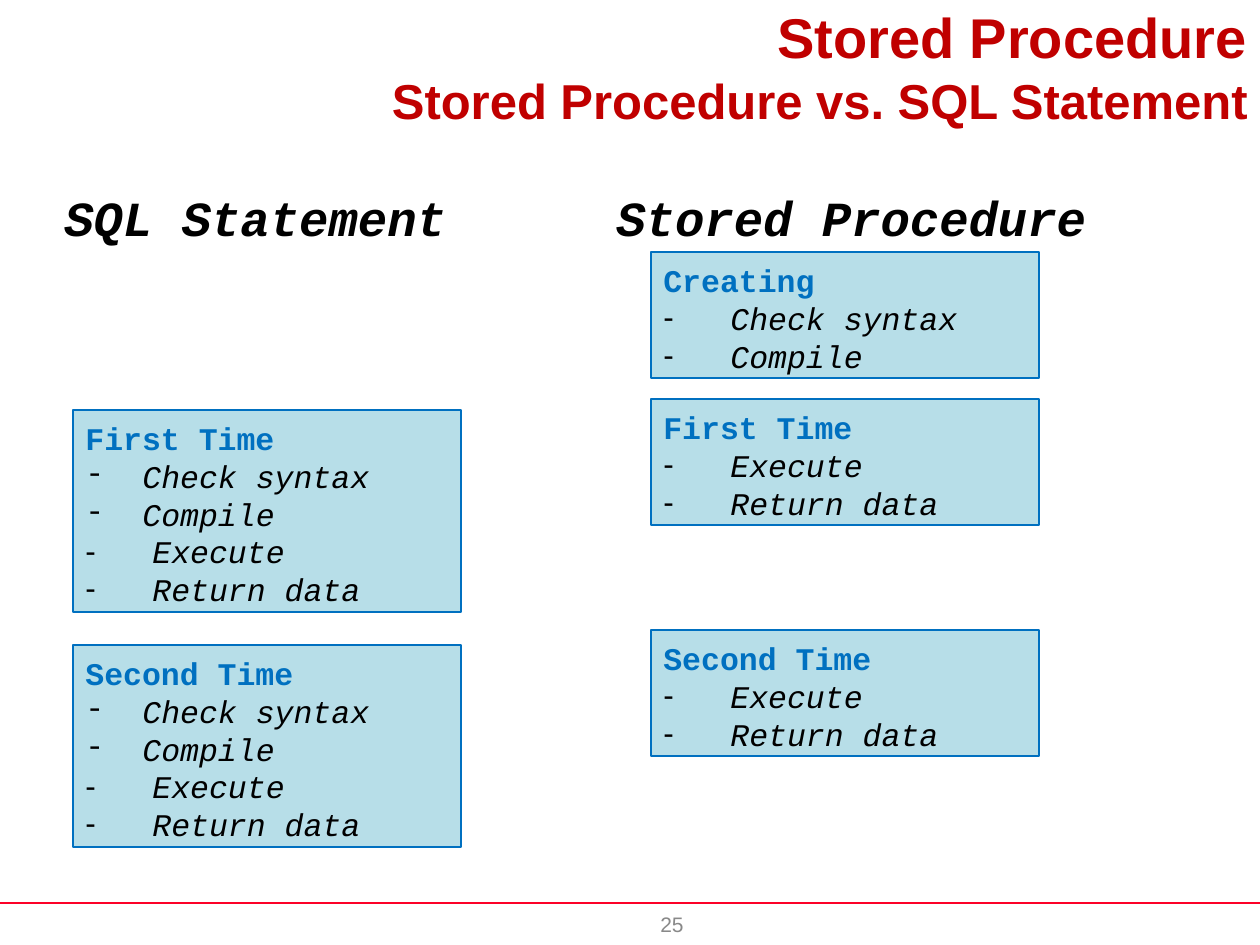
from pptx import Presentation
from pptx.util import Emu, Pt
from pptx.dml.color import RGBColor
from pptx.enum.shapes import MSO_CONNECTOR, MSO_SHAPE
from pptx.enum.text import MSO_ANCHOR, PP_ALIGN
from pptx.oxml.ns import qn
from lxml import etree

LEFT, MID, RIGHT = PP_ALIGN.LEFT, PP_ALIGN.CENTER, PP_ALIGN.RIGHT
TOP, CENTER = MSO_ANCHOR.TOP, MSO_ANCHOR.MIDDLE
RECT, LINE = MSO_SHAPE.RECTANGLE, MSO_CONNECTOR.STRAIGHT
SCALE = 914400 / 126
SANS, MONO = "Arial", "Courier New"
BLUE, PALE, RED = "0070C0", "B7DEE8", "C00000"

HEAD = dict(name=MONO, size=28, color="000000", bold=True, italic=True)
NAME = dict(name=MONO, size=18, color=BLUE, bold=True)
STEP = dict(name=MONO, size=18, color="000000", italic=True)
MAIN = dict(name=SANS, size=32, color=RED, bold=True)
SUB = MAIN | dict(size=28)
PAGE = dict(name=SANS, size=12, color="898989")

CHECK, RUN = ["Check syntax", "Compile"], ["Execute", "Return data"]
DASH = {"Check syntax": (57, MONO), "Compile": (57, MONO)}
WIDE = (67, SANS)
LABELS = [
    ((53, 3, 1207, 126), [("Stored Procedure", MAIN),
                          ("Stored Procedure vs. SQL Statement", SUB)], RIGHT, CENTER),
    ((52, 179, 407, 72), [("SQL Statement", HEAD)], LEFT, TOP),
    ((604, 179, 495, 72), [("Stored Procedure", HEAD)], LEFT, TOP),
    ((525, 903, 294, 42), [("25", PAGE)], MID, CENTER),
]
CARDS = [
    (73, 410, "First Time", CHECK + RUN, DASH),
    (73, 645, "Second Time", CHECK + RUN, DASH),
    (651, 252, "Creating", CHECK, {}),
    (651, 399, "First Time", RUN, {}),
    (651, 630, "Second Time", RUN, {}),
]


def px(n):
    return Emu(round(n * SCALE))


def rgb(code):
    return RGBColor.from_string(code)


def style(para, form):
    for key, val in form.items():
        if key == "color":
            para.font.color.rgb = rgb(val)
        else:
            setattr(para.font, key, Pt(val) if key == "size" else val)
    para.line_spacing = Pt(form["size"] * 1.2)


def bullet(para, gap, face):
    props = para._p.get_or_add_pPr()
    props.set("marL", str(px(gap)))
    props.set("indent", str(-px(gap)))
    etree.SubElement(props, qn("a:buFont")).set("typeface", face)
    etree.SubElement(props, qn("a:buChar")).set("char", "-")


def write(shape, rows, align=LEFT, anchor=TOP, marks=()):
    frame = shape.text_frame
    frame.word_wrap = True
    frame.vertical_anchor = anchor
    if anchor == TOP:
        frame.margin_top = px(9)
    for i, (text, form) in enumerate(rows):
        para = frame.add_paragraph() if i else frame.paragraphs[0]
        para.text = text
        para.alignment = align
        if i and marks:
            bullet(para, *marks[i - 1])
        style(para, form)


def card(slide, left, top, name, steps, dash):
    lines = 1 + len(steps)
    high = round(lines * 37.8 + 12.6)
    box = slide.shapes.add_shape(RECT, px(left), px(top), px(388), px(high))
    box.shadow.inherit = False
    box.fill.solid()
    box.fill.fore_color.rgb = rgb(PALE)
    box.line.color.rgb = rgb(BLUE)
    box.line.width = Pt(0.75)
    marks = [dash.get(step, WIDE) for step in steps]
    write(box, [(name, NAME)] + [(step, STEP) for step in steps], marks=marks)


def main():
    """Build the slide that compares SQL statements with stored procedures."""
    deck = Presentation()
    deck.slide_width, deck.slide_height = px(1260), px(945)
    slide = deck.slides.add_slide(deck.slide_layouts[6])
    rule = slide.shapes.add_connector(LINE, 0, px(903), px(1260), px(903))
    rule.line.color.rgb = rgb("FC0128")
    rule.line.width = Pt(0.75)
    etree.SubElement(rule._element.spPr, qn("a:effectLst"))
    for place, rows, align, anchor in LABELS:
        box = slide.shapes.add_textbox(*map(px, place))
        write(box, rows, align, anchor)
    for item in CARDS:
        card(slide, *item)
    deck.save("out.pptx")


if __name__ == "__main__":
    main()
